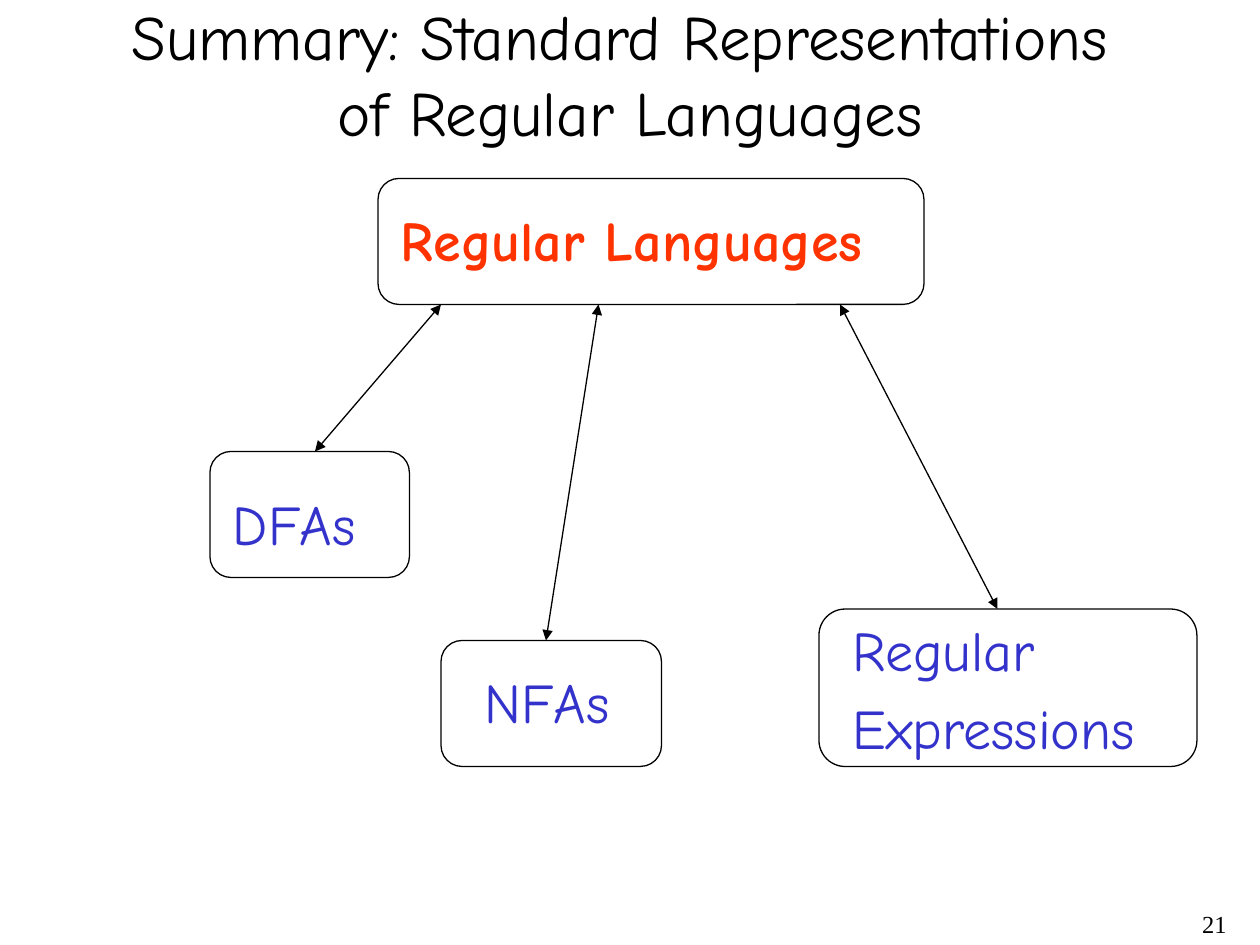
from dataclasses import dataclass

from lxml import etree
from pptx import Presentation
from pptx.dml.color import RGBColor
from pptx.enum.shapes import MSO_CONNECTOR, MSO_SHAPE
from pptx.enum.text import MSO_ANCHOR, MSO_AUTO_SIZE, PP_ALIGN
from pptx.oxml.ns import qn
from pptx.util import Inches, Pt

STRAIGHT = MSO_CONNECTOR.STRAIGHT
ROUNDED = MSO_SHAPE.ROUNDED_RECTANGLE
MIDDLE = MSO_ANCHOR.MIDDLE
FIXED, GROW = MSO_AUTO_SIZE.NONE, MSO_AUTO_SIZE.SHAPE_TO_FIT_TEXT
CENTER, LEFT, RIGHT = PP_ALIGN.CENTER, PP_ALIGN.LEFT, PP_ALIGN.RIGHT

BLACK = RGBColor(0x00, 0x00, 0x00)
RED = RGBColor(0xFF, 0x33, 0x00)
BLUE = RGBColor(0x33, 0x33, 0xCC)
HAND_FONT = "Comic Neue"
NUMBER_FONT = "Times New Roman"
THIN = Pt(0.75)

WIDTH, HEIGHT = Inches(10), Inches(7.5)
COLUMNS, ROWS = 120, 90


@dataclass(frozen=True)
class Area:
    column: float
    row: float
    columns: float
    rows: float

    def lengths(self) -> tuple:
        return across(self.column), down(self.row), across(self.columns), down(self.rows)


@dataclass(frozen=True)
class Node:
    lines: tuple
    frame: Area
    label: Area
    color: RGBColor = BLUE
    bold: bool = False


@dataclass(frozen=True)
class Arrow:
    start: tuple
    end: tuple


TITLE_AREA = Area(2, 3, 116, 8)
NUMBER_AREA = Area(93, 86, 25, 4)
NODES = (
    Node(("Regular Languages",), Area(36, 17, 52, 12), Area(37, 19, 49.3, 7.6), RED, True),
    Node(("DFAs",), Area(20, 43, 19, 12), Area(21, 46, 16, 7.6)),
    Node(("NFAs",), Area(42, 61, 21, 12), Area(45, 63, 16.4, 7.6)),
    Node(("Regular", "Expressions"), Area(78, 58, 36, 15), Area(80, 58, 32.2, 15.2)),
)
ARROWS = (
    Arrow((42, 29), (30, 43)),
    Arrow((57, 29), (52, 61)),
    Arrow((80, 29), (95, 58)),
)


def across(columns: float) -> int:
    return round(WIDTH * columns / COLUMNS)


def down(rows: float) -> int:
    return round(HEIGHT * rows / ROWS)


def style(para, name: str, size: float, color: RGBColor, align=LEFT, bold: bool = False) -> None:
    para.alignment = align
    para.font.name = name
    para.font.size = Pt(size)
    para.font.bold = bold
    para.font.color.rgb = color


def write_title(page, text: str) -> None:
    title = page.shapes.title
    title.left, title.top, title.width, title.height = TITLE_AREA.lengths()
    frame = title.text_frame
    frame.text = text
    frame.auto_size = FIXED
    frame.vertical_anchor = MIDDLE
    style(frame.paragraphs[0], HAND_FONT, 36, BLACK, CENTER)


def write_number(page, number: str) -> None:
    frame = page.shapes.add_textbox(*NUMBER_AREA.lengths()).text_frame
    frame.word_wrap = True
    frame.text = number
    style(frame.paragraphs[0], NUMBER_FONT, 14, BLACK, RIGHT)


def draw_node(page, node: Node) -> None:
    label = page.shapes.add_textbox(*node.label.lengths()).text_frame
    label.word_wrap = False
    label.auto_size = GROW
    label.text = "\n".join(node.lines)
    for para in label.paragraphs:
        style(para, HAND_FONT, 32, node.color, bold=node.bold)
        para.space_before = Pt(6.4)

    box = page.shapes.add_shape(ROUNDED, *node.frame.lengths())
    box.shadow.inherit = False
    box.fill.background()
    box.line.color.rgb = BLACK
    box.line.width = THIN


def draw_arrow(page, arrow: Arrow) -> None:
    (start_column, start_row), (end_column, end_row) = arrow.start, arrow.end
    line = page.shapes.add_connector(
        STRAIGHT, across(start_column), down(start_row), across(end_column), down(end_row)
    )
    line.line.color.rgb = BLACK
    line.line.width = THIN
    outline = line.line._get_or_add_ln()
    for tag in ("a:headEnd", "a:tailEnd"):
        etree.SubElement(outline, qn(tag), type="triangle")
    etree.SubElement(line._element.spPr, qn("a:effectLst"))


def main() -> None:
    deck = Presentation()
    deck.slide_width, deck.slide_height = WIDTH, HEIGHT
    page = deck.slides.add_slide(deck.slide_layouts.get_by_name("Title Only"))
    write_number(page, "21")
    write_title(page, "Summary: Standard Representations \vof Regular Languages")
    for node in NODES:
        draw_node(page, node)
    for arrow in ARROWS:
        draw_arrow(page, arrow)
    deck.save("out.pptx")


if __name__ == "__main__":
    main()
